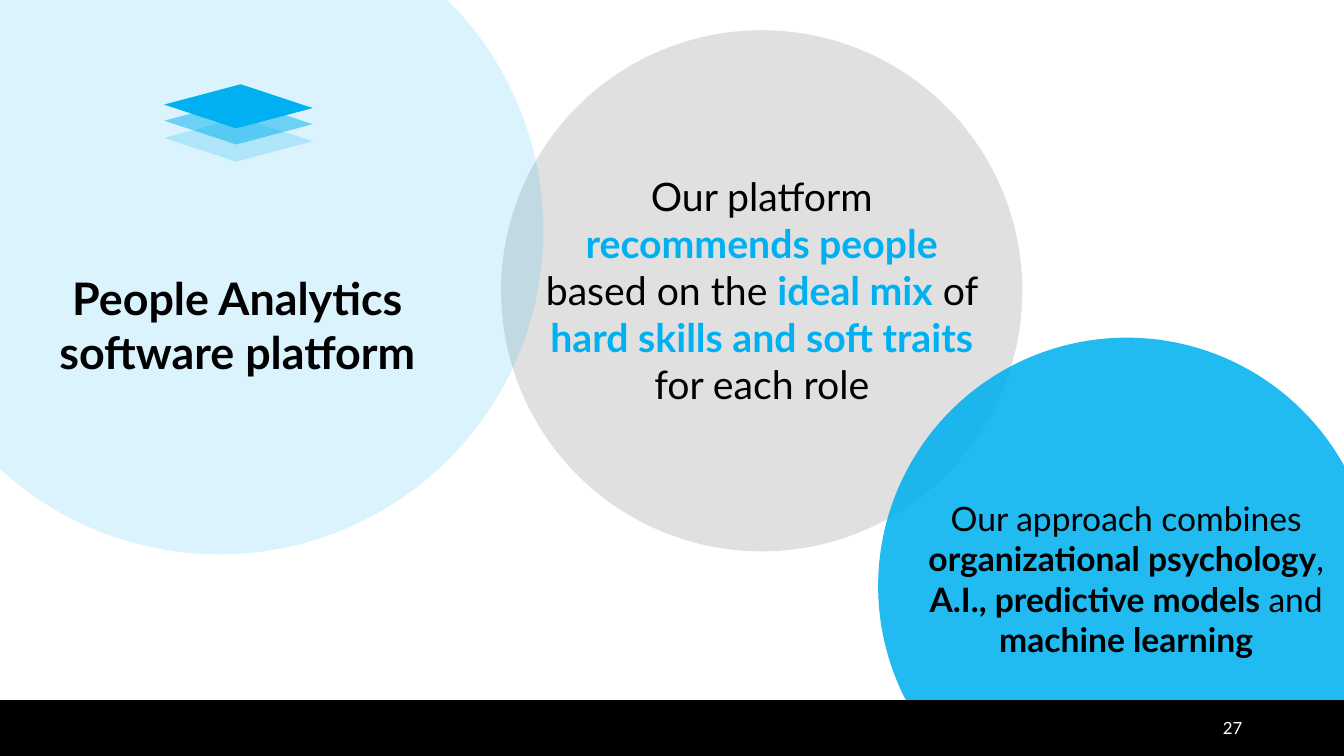
from dataclasses import dataclass

import pptx
import pptx.dml.color
import pptx.enum.shapes
import pptx.enum.text
import pptx.oxml.ns
import pptx.util
from lxml import etree

Inches = pptx.util.Inches
Shape = pptx.enum.shapes.MSO_SHAPE
Align = pptx.enum.text.PP_ALIGN
Anchor = pptx.enum.text.MSO_ANCHOR


@dataclass(frozen=True)
class Theme:
    font: str = "Lato"
    blue: str = "00B0F0"
    gray: str = "D8D8D8"
    black: str = "000000"
    white: str = "FFFFFF"
    title_size: int = 32
    platform_size: int = 28
    approach_size: int = 24
    number_size: int = 12


THEME = Theme()


def rgb(color):
    return pptx.dml.color.RGBColor.from_string(color)


def add_filled(slide, kind, left, top, width, height, color, opacity=100, outlined=False):
    """Add a preset shape in one colour; opacity is a percentage."""
    shape = slide.shapes.add_shape(
        kind, Inches(left), Inches(top), Inches(width), Inches(height))
    shape.shadow.inherit = False
    shape.fill.solid()
    shape.fill.fore_color.rgb = rgb(color)
    if opacity < 100:
        color_element = shape.fill._xPr.find(".//" + pptx.oxml.ns.qn("a:srgbClr"))
        alpha = etree.SubElement(color_element, pptx.oxml.ns.qn("a:alpha"))
        alpha.set("val", str(opacity * 1000))
    if outlined:
        shape.line.color.rgb = rgb(color)
        shape.line.width = pptx.util.Pt(1)
    else:
        shape.line.fill.background()
    return shape


def add_circle(slide, left, top, diameter, color, opacity):
    add_filled(slide, Shape.OVAL, left, top, diameter, diameter, color, opacity)


def add_layers_icon(slide):
    """Stack three tilted tiles, the solid one on top."""
    for top, opacity in ((1, 50), (1.17, 20), (0.84, 100)):
        tile = add_filled(slide, Shape.PARALLELOGRAM, 1.66, top, 1.41, 0.43,
                          THEME.blue, opacity)
        tile.adjustments[0] = 1.529
        tile.rotation = 18.3


def write_text(shape, paragraphs, size, color=THEME.black, accent=None,
               align=Align.CENTER, anchor=Anchor.TOP):
    """Fill a shape with paragraphs of (text, is_strong) runs; strong runs are bold."""
    frame = shape.text_frame
    frame.word_wrap = True
    frame.auto_size = pptx.enum.text.MSO_AUTO_SIZE.NONE
    frame.vertical_anchor = anchor
    for index, runs in enumerate(paragraphs):
        paragraph = frame.add_paragraph() if index else frame.paragraphs[0]
        paragraph.alignment = align
        for text, is_strong in runs:
            run = paragraph.add_run()
            run.text = text
            run.font.name = THEME.font
            run.font.size = pptx.util.Pt(size)
            run.font.bold = is_strong
            run.font.color.rgb = rgb(accent if accent and is_strong else color)


def add_text(slide, left, top, width, height, paragraphs, **text_format):
    box = slide.shapes.add_textbox(
        Inches(left), Inches(top), Inches(width), Inches(height))
    write_text(box, paragraphs, **text_format)


def place_title(slide, left, top, width, height, text):
    """Move the title placeholder into position, in front of the circles."""
    title = slide.shapes.title
    title.left, title.top = Inches(left), Inches(top)
    title.width, title.height = Inches(width), Inches(height)
    write_text(title, [[(text, True)]], size=THEME.title_size)
    slide.shapes._spTree.append(title._element)


def main():
    presentation = pptx.Presentation()
    presentation.slide_width = Inches(13.33)
    presentation.slide_height = Inches(7.5)
    slide = presentation.slides.add_slide(presentation.slide_layouts[5])

    add_filled(slide, Shape.RECTANGLE, 0, 6.95, 13.33, 0.55, THEME.black, outlined=True)
    add_circle(slide, 4.97, 0.3, 5.17, THEME.gray, 78)
    add_circle(slide, 8.71, 3.35, 4.93, THEME.blue, 87)
    add_circle(slide, -1.04, -0.93, 6.43, THEME.blue, 14)
    add_layers_icon(slide)

    place_title(slide, -0.06, 2.64, 4.83, 1.18, "People Analytics software platform")
    add_text(slide, 9.03, 4.89, 4.28, 1.72, [
        [("Our approach combines", False)],
        [("organizational psychology", True), (", ", False),
         ("A.I., predictive models ", True), ("and", False),
         (" machine learning", True)],
    ], size=THEME.approach_size)
    add_text(slide, 5.3, 1.66, 4.51, 2.46, [
        [("Our platform ", False), ("recommends people", True),
         (" based on the ", False), ("ideal mix", True), (" of ", False)],
        [("hard skills and soft traits ", True), ("for each role", False)],
    ], size=THEME.platform_size, accent=THEME.blue)

    add_filled(slide, Shape.RECTANGLE, 8.6, 6.95, 4.73, 0.55, THEME.black, outlined=True)
    add_text(slide, 9.42, 7.02, 3, 0.4, [[("27", False)]], size=THEME.number_size,
             color=THEME.white, align=Align.RIGHT, anchor=Anchor.MIDDLE)

    presentation.save("out.pptx")


if __name__ == "__main__":
    main()
